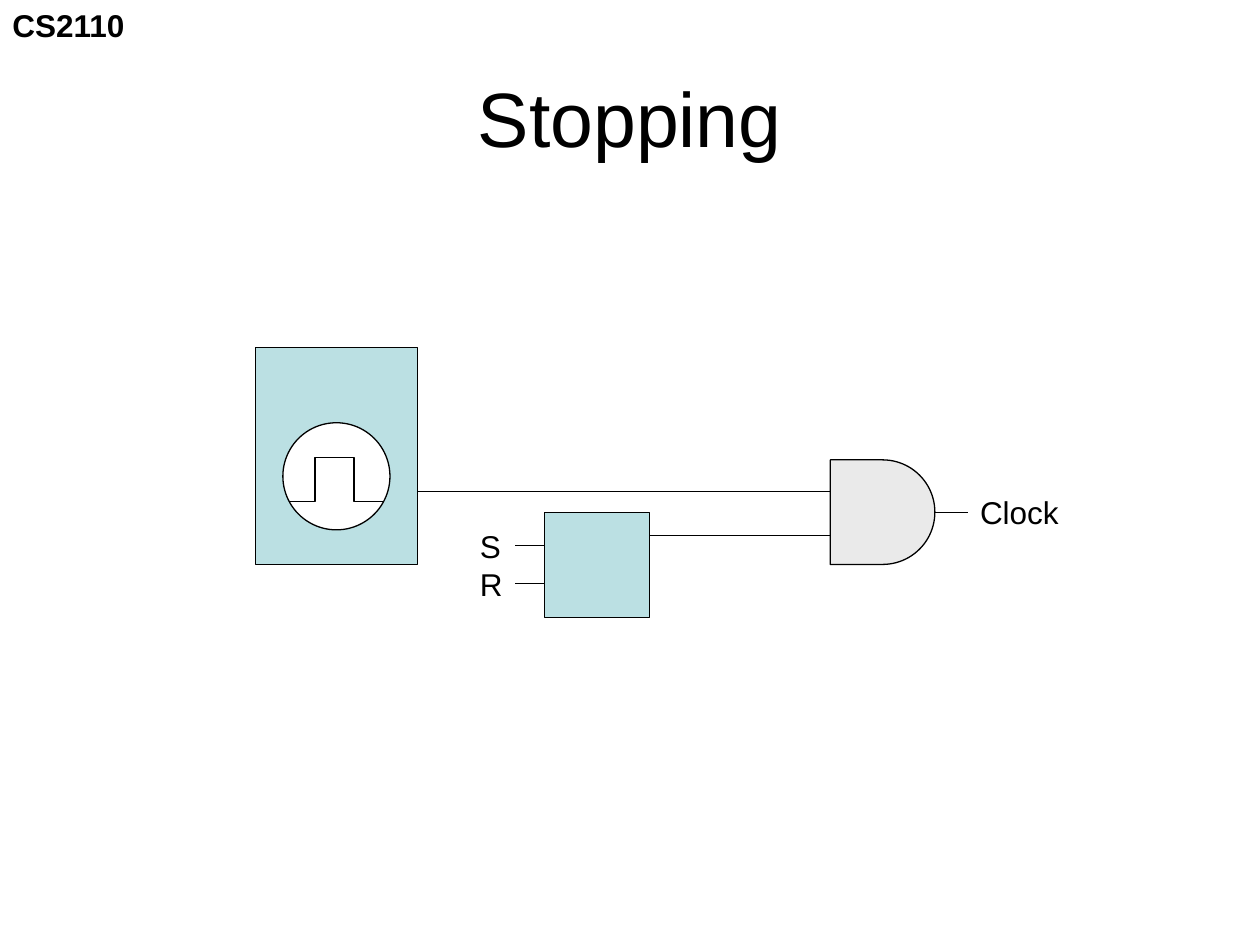
from lxml.etree import SubElement
from pptx import Presentation
from pptx.dml.color import RGBColor
from pptx.enum.shapes import MSO_CONNECTOR, MSO_SHAPE
from pptx.enum.text import MSO_ANCHOR, MSO_AUTO_SIZE, PP_ALIGN
from pptx.oxml.ns import qn
from pptx.util import Inches, Pt

# Content: places are in columns and rows of a 100 x 75 grid
COLUMNS, ROWS = 100, 75
FONT = "Arial"
COLORS = {"ink": "000000", "block": "BBE0E3", "gate": "EAEAEA", "dial": "FFFFFF"}

# lines of text, (left, top, width, height), size, bold, centred
LABELS = [
    (["CS2110"], (0, 0, 11, 4), 18, True, False),
    (["Stopping"], (5, 3, 90, 12.5), 44, False, True),
    (["Clock"], (76.8, 38.65, 8.3, 4), 18, False, False),
    (["S", "R"], (37.1, 41.35, 3.8, 7), 18, False, False),
]

# preset, (left, top, width, height), colour
PARTS = {
    "and_gate": (MSO_SHAPE.FLOWCHART_DELAY, (65.9, 36.5, 8.3, 8.3), "gate"),
    "latch": (MSO_SHAPE.RECTANGLE, (43.2, 40.7, 8.35, 8.3), "block"),
    "oscillator": (MSO_SHAPE.RECTANGLE, (20.25, 27.6, 12.9, 17.2), "block"),
    "dial": (MSO_SHAPE.OVAL, (22.45, 33.55, 8.5, 8.5), "dial"),
}
PULSE_COLUMNS, PULSE_LOW, PULSE_HIGH = (23, 25, 28.1, 30.4), 39.8, 36.3
CLOCK_ROW, ENABLE_ROW, SET_ROW, RESET_ROW = 39, 42.5, 43.3, 46.3
INPUT_START, GATE_LEAD, OUTPUT_END = 40.9, 63.2, 76.8

deck = Presentation()
deck.slide_width, deck.slide_height = Inches(10), Inches(7.5)
slide = deck.slides.add_slide(deck.slide_layouts[6])


def x(column):
    return round(deck.slide_width * column / COLUMNS)


def y(row):
    return round(deck.slide_height * row / ROWS)


def place(box):
    left, top, width, height = box
    return x(left), y(top), x(width), y(height)


def color(name):
    return RGBColor.from_string(COLORS[name])


def draw_outline(part):
    part.line.color.rgb = color("ink")
    part.line.width = Pt(0.75)


def add_label(lines, box, size, bold, centred):
    frame = slide.shapes.add_textbox(*place(box)).text_frame
    frame.word_wrap = centred
    frame.auto_size = MSO_AUTO_SIZE.NONE if centred else MSO_AUTO_SIZE.SHAPE_TO_FIT_TEXT
    frame.vertical_anchor = MSO_ANCHOR.MIDDLE if centred else MSO_ANCHOR.TOP
    for index, words in enumerate(lines):
        paragraph = frame.add_paragraph() if index else frame.paragraphs[0]
        paragraph.alignment = PP_ALIGN.CENTER if centred else PP_ALIGN.LEFT
        run = paragraph.add_run()
        run.text = words
        run.font.name, run.font.size, run.font.bold = FONT, Pt(size), bold
        run.font.color.rgb = color("ink")


def add_part(preset, box, fill):
    part = slide.shapes.add_shape(preset, *place(box))
    part.shadow.inherit = False
    part.fill.solid()
    part.fill.fore_color.rgb = color(fill)
    draw_outline(part)
    return part


def add_wire(start, end, row):
    wire = slide.shapes.add_connector(
        MSO_CONNECTOR.STRAIGHT, x(start), y(row), x(end), y(row))
    draw_outline(wire)
    SubElement(wire._element.spPr, qn("a:effectLst"))
    return wire


def right_edge(name):
    left, _, width, _ = PARTS[name][1]
    return left + width


# Circuit blocks
blocks = {name: add_part(*part) for name, part in PARTS.items()}

# Clock pulse inside the dial
begin, rise, fall, finish = PULSE_COLUMNS
points = [(begin, PULSE_LOW), (rise, PULSE_LOW), (rise, PULSE_HIGH),
          (fall, PULSE_HIGH), (fall, PULSE_LOW), (finish, PULSE_LOW)]
corners = [(x(column), y(row)) for column, row in points]
builder = slide.shapes.build_freeform(*corners[0])
builder.add_line_segments(corners[1:], close=False)
pulse = builder.convert_to_shape()
pulse.shadow.inherit = False
pulse.fill.background()
draw_outline(pulse)

# Wires to the gate's input leads, and inputs of the latch
gate_left, latch_left = PARTS["and_gate"][1][0], PARTS["latch"][1][0]
for source, row in [("oscillator", CLOCK_ROW), ("latch", ENABLE_ROW)]:
    add_wire(right_edge(source), GATE_LEAD, row)
    add_wire(GATE_LEAD, gate_left, row)
for row in (SET_ROW, RESET_ROW):
    add_wire(INPUT_START, latch_left, row)

# Gate output leaves the middle of its right side
_, gate_top, _, gate_height = PARTS["and_gate"][1]
output = add_wire(right_edge("and_gate"), OUTPUT_END, gate_top + gate_height / 2)
output.begin_connect(blocks["and_gate"], 3)

# Title and labels
for label in LABELS:
    add_label(*label)

deck.save("out.pptx")
